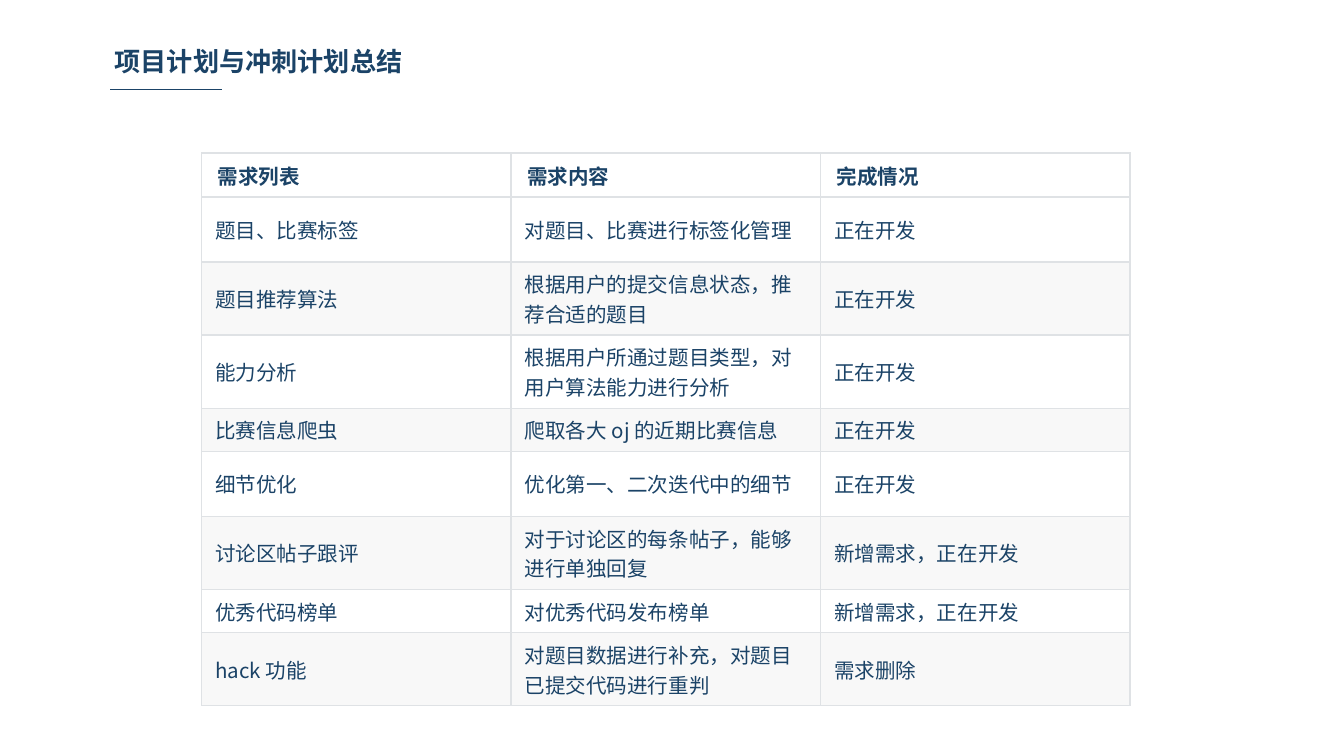
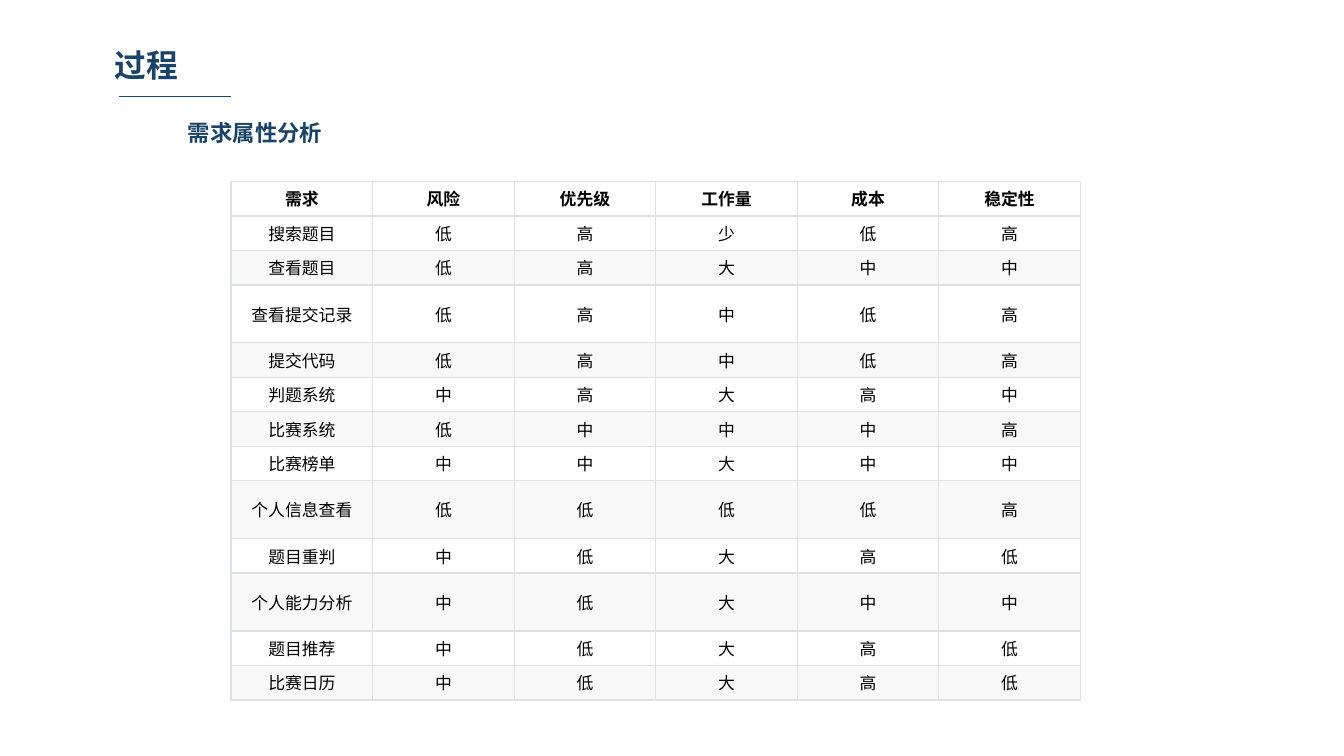
from dataclasses import dataclass

from lxml.etree import SubElement
from pptx import Presentation
from pptx.dml.color import RGBColor
from pptx.enum.shapes import MSO_CONNECTOR
from pptx.enum.text import MSO_ANCHOR, MSO_AUTO_SIZE, PP_ALIGN
from pptx.oxml import parse_xml
from pptx.oxml.ns import nsdecls, qn
from pptx.slide import Slide
from pptx.text.text import TextFrame
from pptx.util import Pt

FONT = "Noto Sans CJK SC"
COLORS = {
    "navy": "1B4367",
    "black": "000000",
    "white": "FFFFFF",
    "band": "F8F8F8",
    "border": "DFE2E5",
}
LINE_WIDTH = 0.75
RULE_LENGTH = 60


@dataclass(frozen=True)
class Heading:
    text: str
    left: float
    top: float
    width: float
    height: float
    size: float
    inset: tuple[float, float] = (7.2, 3.6)
    wrap: bool = True


@dataclass(frozen=True)
class Rule:
    left: float
    top: float


@dataclass(frozen=True)
class Grid:
    left: float
    top: float
    column_width: float
    row_heights: list[float]
    rows: list[list[str]]
    size: float
    color: str
    align: PP_ALIGN
    header_inset: tuple[float, float]
    body_inset: tuple[float, float]


def rgb(name: str) -> RGBColor:
    return RGBColor.from_string(COLORS[name])


def write_text(frame: TextFrame, text: str, *, size: float, color: str = "navy",
               bold: bool = False, align: PP_ALIGN = PP_ALIGN.LEFT) -> None:
    paragraph = frame.paragraphs[0]
    paragraph.alignment = align
    run = paragraph.add_run()
    run.text = text
    run.font.name = FONT
    run.font.size = Pt(size)
    run.font.bold = bold
    run.font.color.rgb = rgb(color)
    SubElement(run.font._element, qn("a:ea"), typeface=FONT)


def add_heading(slide: Slide, heading: Heading) -> None:
    shape = slide.shapes.add_textbox(Pt(heading.left), Pt(heading.top),
                                     Pt(heading.width), Pt(heading.height))
    frame = shape.text_frame
    frame.word_wrap = heading.wrap
    frame.auto_size = MSO_AUTO_SIZE.SHAPE_TO_FIT_TEXT
    frame.margin_left = frame.margin_right = Pt(heading.inset[0])
    frame.margin_top = frame.margin_bottom = Pt(heading.inset[1])
    write_text(frame, heading.text, size=heading.size, bold=True)


def add_rule(slide: Slide, rule: Rule) -> None:
    connector = slide.shapes.add_connector(
        MSO_CONNECTOR.STRAIGHT, Pt(rule.left), Pt(rule.top),
        Pt(rule.left + RULE_LENGTH), Pt(rule.top))
    connector.line.color.rgb = rgb("navy")
    connector.line.width = Pt(LINE_WIDTH)
    SubElement(connector._element.spPr, qn("a:effectLst"))


def add_borders(cell) -> None:
    properties = cell._tc.get_or_add_tcPr()
    for index, side in enumerate(("lnL", "lnR", "lnT", "lnB")):
        properties.insert(index, parse_xml(
            f'<a:{side} {nsdecls("a")} w="{Pt(LINE_WIDTH)}"><a:solidFill>'
            f'<a:srgbClr val="{COLORS["border"]}"/></a:solidFill></a:{side}>'))


def add_grid(slide: Slide, grid: Grid) -> None:
    column_count = len(grid.rows[0])
    table = slide.shapes.add_table(
        len(grid.rows), column_count, Pt(grid.left), Pt(grid.top),
        Pt(grid.column_width * column_count), Pt(sum(grid.row_heights))).table
    table.first_row = table.horz_banding = False
    for column in table.columns:
        column.width = Pt(grid.column_width)
    for row_index, texts in enumerate(grid.rows):
        table.rows[row_index].height = Pt(grid.row_heights[row_index])
        is_header = row_index == 0
        is_banded = row_index > 0 and row_index % 2 == 0
        side_inset, top_inset = grid.header_inset if is_header else grid.body_inset
        for column_index, text in enumerate(texts):
            cell = table.cell(row_index, column_index)
            cell.vertical_anchor = MSO_ANCHOR.MIDDLE
            cell.margin_left = cell.margin_right = Pt(side_inset)
            cell.margin_top = cell.margin_bottom = Pt(top_inset)
            cell.fill.solid()
            cell.fill.fore_color.rgb = rgb("band" if is_banded else "white")
            add_borders(cell)
            write_text(cell.text_frame, text, size=grid.size, color=grid.color,
                       bold=is_header, align=grid.align)


PLAN_ROWS = [
    ["需求列表", "需求内容", "完成情况"],
    ["题目、比赛标签", "对题目、比赛进行标签化管理", "正在开发"],
    ["题目推荐算法", "根据用户的提交信息状态，推荐合适的题目", "正在开发"],
    ["能力分析", "根据用户所通过题目类型，对用户算法能力进行分析", "正在开发"],
    ["比赛信息爬虫", "爬取各大 oj 的近期比赛信息", "正在开发"],
    ["细节优化", "优化第一、二次迭代中的细节", "正在开发"],
    ["讨论区帖子跟评", "对于讨论区的每条帖子，能够进行单独回复", "新增需求，正在开发"],
    ["优秀代码榜单", "对优秀代码发布榜单", "新增需求，正在开发"],
    ["hack 功能", "对题目数据进行补充，对题目已提交代码进行重判", "需求删除"],
]
PLAN_SHORT_ROWS = {0: 21.6, 4: 20.9, 7: 20.9}

ATTRIBUTE_ROWS = [line.split() for line in (
    "需求 风险 优先级 工作量 成本 稳定性",
    "搜索题目 低 高 少 低 高",
    "查看题目 低 高 大 中 中",
    "查看提交记录 低 高 中 低 高",
    "提交代码 低 高 中 低 高",
    "判题系统 中 高 大 高 中",
    "比赛系统 低 中 中 中 高",
    "比赛榜单 中 中 大 中 中",
    "个人信息查看 低 低 低 低 高",
    "题目重判 中 低 大 高 低",
    "个人能力分析 中 低 大 中 中",
    "题目推荐 中 低 大 高 低",
    "比赛日历 中 低 大 高 低",
)]

PLAN_GRID = Grid(
    left=108, top=82, column_width=165.8,
    row_heights=[PLAN_SHORT_ROWS.get(index, 34.8) for index in range(len(PLAN_ROWS))],
    rows=PLAN_ROWS, size=11, color="navy", align=PP_ALIGN.LEFT,
    header_inset=(8.6, 3.8), body_inset=(7.2, 3.6))

ATTRIBUTE_GRID = Grid(
    left=123.8, top=97.2, column_width=75.84,
    row_heights=[31 if len(row[0]) == 6 else 18.5 for row in ATTRIBUTE_ROWS],
    rows=ATTRIBUTE_ROWS, size=9, color="black", align=PP_ALIGN.CENTER,
    header_inset=(6.5, 2.7), body_inset=(6.5, 2.7))


def main() -> None:
    presentation = Presentation()
    presentation.slide_width = Pt(720)
    presentation.slide_height = Pt(405)
    blank_layout = presentation.slide_layouts[6]

    plan_slide = presentation.slides.add_slide(blank_layout)
    add_grid(plan_slide, PLAN_GRID)
    add_rule(plan_slide, Rule(59, 48))
    add_heading(plan_slide, Heading(" 项目计划与冲刺计划总结", 51.1, 20.9, 174.2, 24.5,
                                    size=14, wrap=False))

    attribute_slide = presentation.slides.add_slide(blank_layout)
    add_heading(attribute_slide, Heading(" 过程", 52.6, 21.6, 281.5, 25.9,
                                         size=17, inset=(5, 2.9)))
    add_rule(attribute_slide, Rule(64, 51.8))
    add_grid(attribute_slide, ATTRIBUTE_GRID)
    add_heading(attribute_slide, Heading("需求属性分析", 93.6, 60.5, 152.6, 21.6, size=12))

    presentation.save("out.pptx")


if __name__ == "__main__":
    main()
